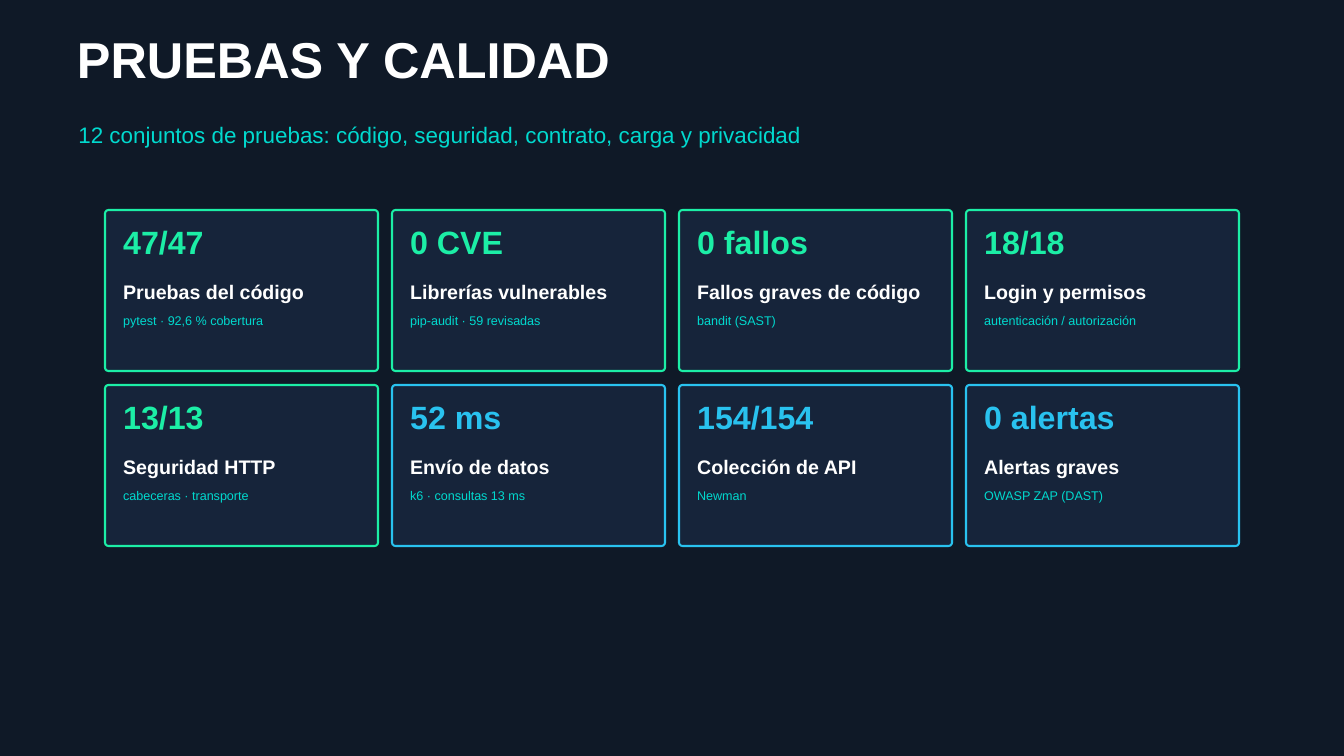
from pptx import Presentation
from pptx.dml.color import RGBColor
from pptx.enum.shapes import MSO_SHAPE
from pptx.enum.text import MSO_ANCHOR, MSO_AUTO_SIZE, PP_ALIGN
from pptx.util import Pt

PX = 9525
NAVY = RGBColor(0x0F, 0x19, 0x27)
PANEL = RGBColor(0x16, 0x24, 0x3A)
GREEN = RGBColor(0x1C, 0xEE, 0xA6)
BLUE = RGBColor(0x29, 0xC2, 0xEF)
TEAL = RGBColor(0x01, 0xD9, 0xCE)
WHITE = RGBColor(0xFF, 0xFF, 0xFF)

COLUMNS = 4
CARD_LEFT, CARD_TOP = 150, 300
CARD_WIDTH, CARD_HEIGHT = 390, 230
CARD_GAP = 20
CARD_RADIUS = 5
TEXT_INSET, TEXT_WIDTH = 26, 340

FRAME_FORMAT = {
    "margin_left": 0,
    "margin_top": 0,
    "margin_right": 0,
    "margin_bottom": 0,
    "word_wrap": True,
    "auto_size": MSO_AUTO_SIZE.NONE,
    "vertical_anchor": MSO_ANCHOR.TOP,
}

RESULTS = [
    ("47/47", "Pruebas del código", "pytest · 92,6 % cobertura", GREEN),
    ("0 CVE", "Librerías vulnerables", "pip-audit · 59 revisadas", GREEN),
    ("0 fallos", "Fallos graves de código", "bandit (SAST)", GREEN),
    ("18/18", "Login y permisos", "autenticación / autorización", GREEN),
    ("13/13", "Seguridad HTTP", "cabeceras · transporte", GREEN),
    ("52 ms", "Envío de datos", "k6 · consultas 13 ms", BLUE),
    ("154/154", "Colección de API", "Newman", BLUE),
    ("0 alertas", "Alertas graves", "OWASP ZAP (DAST)", BLUE),
]


def px(*lengths):
    """Turn pixel lengths into EMU."""
    return [length * PX for length in lengths]


def apply_format(target, values):
    """Set each attribute of the target from a dict."""
    for attribute, value in values.items():
        setattr(target, attribute, value)


def write_line(holder, text, size, leading, color, bold=False):
    """Write one formatted line into a text box or placeholder."""
    frame = holder.text_frame
    apply_format(frame, FRAME_FORMAT)
    line = frame.paragraphs[0]
    line.text = text
    apply_format(line, {
        "alignment": PP_ALIGN.LEFT,
        "line_spacing": Pt(leading),
        "space_before": Pt(0),
    })
    font = line.runs[0].font
    apply_format(font, {"name": "Arial", "size": Pt(size), "bold": bold})
    font.color.rgb = color


def fill_placeholder(placeholder, bounds, *line_format):
    """Move a template placeholder and write its line."""
    left, top, width, height = px(*bounds)
    apply_format(placeholder, {"left": left, "top": top, "width": width, "height": height})
    write_line(placeholder, *line_format)


def add_label(slide, bounds, *line_format):
    """Add a text box holding one line."""
    write_line(slide.shapes.add_textbox(*px(*bounds)), *line_format)


def add_panel(slide, left, top, accent):
    """Add the rounded, outlined background of a card."""
    panel = slide.shapes.add_shape(
        MSO_SHAPE.ROUNDED_RECTANGLE, *px(left, top, CARD_WIDTH, CARD_HEIGHT))
    panel.adjustments[0] = CARD_RADIUS / CARD_HEIGHT
    panel.shadow.inherit = False
    panel.fill.solid()
    panel.fill.fore_color.rgb = PANEL
    panel.line.color.rgb = accent
    panel.line.width = Pt(2.25)


def add_card(slide, left, top, result, check, detail, accent):
    """Add a result card with its figure, name and detail."""
    add_panel(slide, left, top, accent)
    text_left = left + TEXT_INSET
    add_label(slide, (text_left, top + 16, TEXT_WIDTH, 59), result, 34.5, 43.1, accent, True)
    add_label(slide, (text_left, top + 98, TEXT_WIDTH, 35), check, 21, 26.2, WHITE, True)
    add_label(slide, (text_left, top + 146, TEXT_WIDTH, 23), detail, 13.5, 16.9, TEAL)


def main():
    """Build and save the testing and quality slide."""
    deck = Presentation()
    deck.slide_width, deck.slide_height = px(1920, 1080)
    slide = deck.slides.add_slide(deck.slide_layouts[0])
    slide.background.fill.solid()
    slide.background.fill.fore_color.rgb = NAVY
    fill_placeholder(slide.shapes.title, (110, 26, 1700, 100),
                     "PRUEBAS Y CALIDAD", 54, 75.6, WHITE, True)
    fill_placeholder(slide.placeholders[1], (112, 167, 1700, 43),
                     "12 conjuntos de pruebas: código, seguridad, contrato, carga y privacidad",
                     24, 33.6, TEAL)
    for index, card in enumerate(RESULTS):
        row, column = divmod(index, COLUMNS)
        add_card(slide,
                 CARD_LEFT + column * (CARD_WIDTH + CARD_GAP),
                 CARD_TOP + row * (CARD_HEIGHT + CARD_GAP),
                 *card)
    deck.save("out.pptx")


if __name__ == "__main__":
    main()
